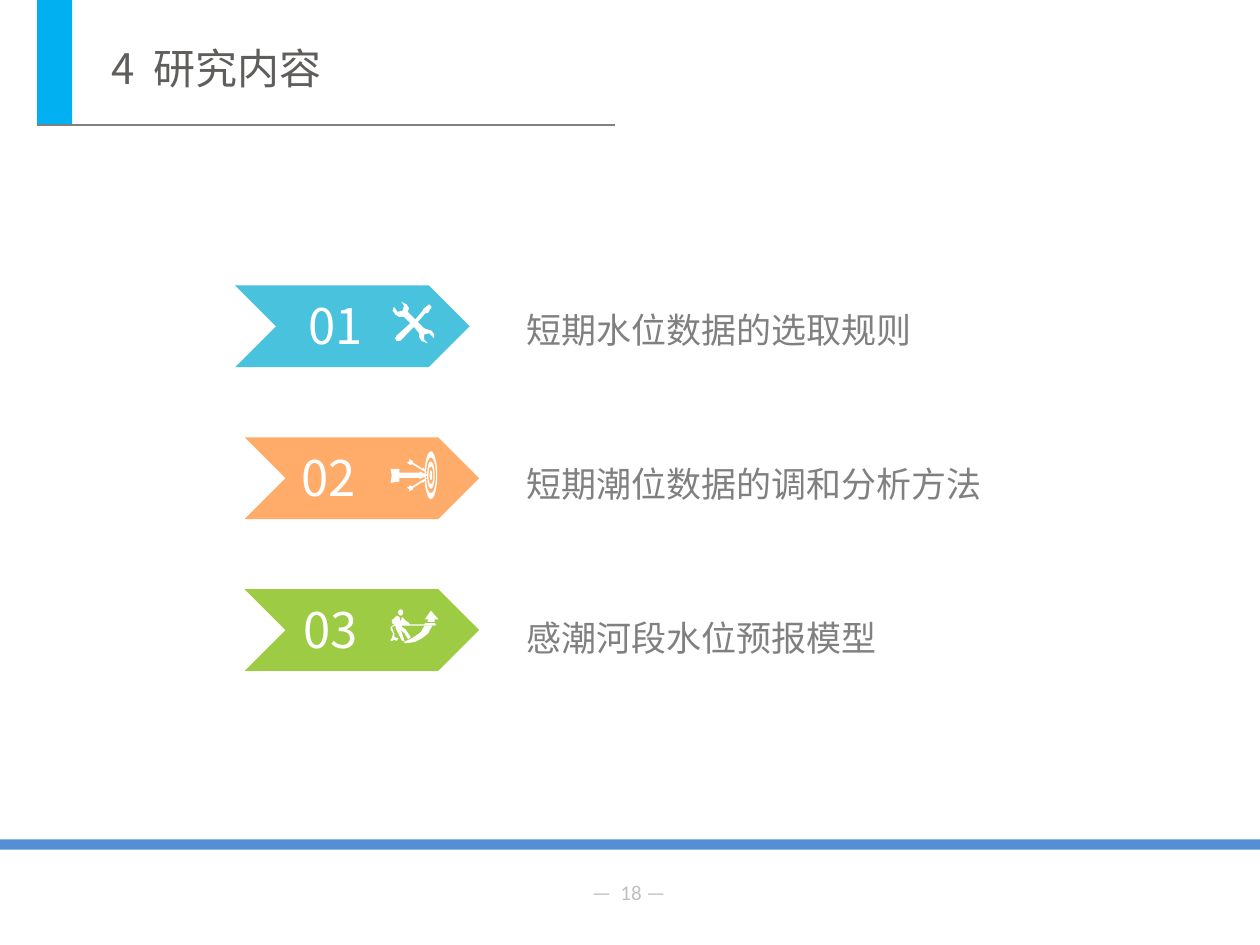
from lxml import etree
from pptx import Presentation
from pptx.dml.color import RGBColor
from pptx.enum.shapes import MSO_CONNECTOR, MSO_SHAPE
from pptx.enum.text import MSO_ANCHOR, MSO_AUTO_SIZE, PP_ALIGN
from pptx.oxml.ns import qn
from pptx.util import Pt

RECT, OVAL, CHEVRON = MSO_SHAPE.RECTANGLE, MSO_SHAPE.OVAL, MSO_SHAPE.CHEVRON
STRAIGHT = MSO_CONNECTOR.STRAIGHT
TOP, LEFT, NO_FIT = MSO_ANCHOR.TOP, PP_ALIGN.LEFT, MSO_AUTO_SIZE.NONE

WHITE = RGBColor(0xFF, 0xFF, 0xFF)
SKY = RGBColor(0x00, 0xB0, 0xF0)
BLUE = RGBColor(0x55, 0x8E, 0xD5)
TEAL = RGBColor(0x49, 0xC2, 0xDD)
ORANGE = RGBColor(0xFF, 0xAC, 0x6A)
GREEN = RGBColor(0x9D, 0xCB, 0x43)
GRAY = RGBColor(0x80, 0x80, 0x80)
DARK = RGBColor(0x5F, 0x5E, 0x5C)
PALE = RGBColor(0xBF, 0xBF, 0xBF)

CJK, LATIN = "Noto Sans CJK SC", "Calibri"
UNIT = 0.72

TOOLS = [(31, 23), (25, 21), (20, 16), (26, 9), (28, 9), (31, 4), (29, 2),
         (24, 6), (24, 7), (18, 14), (12, 8), (13, 5), (11, 2), (7, 0), (9, 3),
         (8, 7), (4, 8), (1, 4), (0, 7), (2, 10), (5, 12), (9, 12), (14, 17),
         (3, 27), (2, 29), (3, 31), (6, 31), (17, 20), (21, 25), (21, 28),
         (23, 31), (28, 33), (25, 30), (25, 26), (29, 25), (33, 29), (33, 26)]
MAIN_DART = [(7, 21), (23, 21), (23, 22), (30, 19), (23, 16), (23, 17),
             (7, 17), (7, 14), (0, 14), (1, 19), (0, 25), (7, 24)]
SIDE_DART = [(29, 17), (26, 13), (26, 14), (18, 9), (18, 8), (15, 6),
             (15, 8), (13, 9), (16, 11), (17, 10), (25, 15)]
SWOOSH = [(28, 13), (25, 18), (21, 21), (16, 24), (11, 26), (13, 27),
          (20, 26), (26, 23), (31, 19), (34, 13)]
ARROW_TIP = [(30, 10), (36, 10), (36, 8), (39, 8), (33, 1), (28, 8), (31, 8)]
BODY = [(36, 11), (28, 11), (28, 12), (16, 12), (16, 11), (13, 9), (10, 6),
        (9, 10), (8, 6), (6, 5), (3, 8), (2, 8), (2, 11), (4, 12), (1, 14),
        (1, 16), (3, 19), (2, 23), (1, 24), (1, 25), (3, 25), (3, 24), (6, 25),
        (7, 23), (4, 22), (4, 19), (3, 17), (2, 14), (5, 13), (5, 15),
        (10, 25), (12, 25), (9, 16), (12, 19), (15, 24), (17, 22), (13, 16),
        (10, 14), (10, 13), (36, 13), (37, 12)]


def paint(sp, color):
    """Give a shape a flat fill with no line or shadow."""
    sp.shadow.inherit = False
    sp.fill.solid()
    sp.fill.fore_color.rgb = color
    sp.line.fill.background()


def add_block(s, kind, x, y, w, h, color):
    """Add a flat preset shape."""
    paint(s.shapes.add_shape(kind, Pt(x), Pt(y), Pt(w), Pt(h)), color)


def add_outline(s, x, y, points):
    """Add a white polygon whose points are in icon units from x, y."""
    builder = s.shapes.build_freeform(*points[0], scale=Pt(UNIT))
    builder.add_line_segments(points[1:], close=True)
    paint(builder.convert_to_shape(Pt(x), Pt(y)), WHITE)


def add_oval(s, x, y, cx, cy, rx, ry, color):
    """Add an oval with its centre and radii in icon units from x, y."""
    add_block(s, OVAL, x + (cx - rx) * UNIT, y + (cy - ry) * UNIT,
              2 * rx * UNIT, 2 * ry * UNIT, color)


def write(sp, text, *, size, color, font=CJK, spacing=None, wrap=True):
    """Write one formatted line into a shape."""
    tf = sp.text_frame
    tf.word_wrap, tf.auto_size, tf.vertical_anchor = wrap, NO_FIT, TOP
    p = tf.paragraphs[0]
    p.alignment, p.line_spacing = LEFT, spacing
    r = p.add_run()
    r.text = text
    r.font.name, r.font.size, r.font.color.rgb = font, Pt(size), color
    etree.SubElement(r.font._element, qn("a:ea"), typeface=font)


def add_text(s, x, y, w, h, text, **fmt):
    """Add a text box with one formatted line."""
    write(s.shapes.add_textbox(Pt(x), Pt(y), Pt(w), Pt(h)), text, **fmt)


def draw_tools(s, x, y, back):
    """Draw the crossed tools icon."""
    add_outline(s, x, y, TOOLS)


def draw_target(s, x, y, back):
    """Draw the target icon with three darts."""
    rings = [(5, 19), (4, 14), (3, 11), (2, 7), (1, 4)]
    for i, (rx, ry) in enumerate(rings):
        add_oval(s, x, y, 32, 19, rx, ry, back if i % 2 else WHITE)
    mirrored = [(px, 38 - py) for px, py in SIDE_DART]
    for dart in (MAIN_DART, SIDE_DART, mirrored):
        add_outline(s, x, y, dart)


def draw_climber(s, x, y, back):
    """Draw the icon of a figure pulling an arrow."""
    for points in (SWOOSH, ARROW_TIP, BODY):
        add_outline(s, x, y, points)
    add_oval(s, x, y, 9, 2.5, 2, 2.5, WHITE)


def add_header(s, x, y, w, h, title):
    """Place the accent bar, rule and title in the header box."""
    add_block(s, RECT, x, y, 20, h, SKY)
    rule = s.shapes.add_connector(STRAIGHT, Pt(x), Pt(y + h), Pt(x + w), Pt(y + h))
    rule.line.color.rgb, rule.line.width = GRAY, Pt(0.75)
    etree.SubElement(rule._element.spPr, qn("a:effectLst"))
    sp = s.shapes.title
    sp.left, sp.top, sp.width, sp.height = Pt(x + 35.3), Pt(y + 20.9), Pt(294.5), Pt(36)
    write(sp, title, size=24, color=DARK)


def add_item(s, x, y, number, number_dx, color, draw_icon, icon_dx, icon_dy):
    """Place one chevron with its number and icon."""
    add_block(s, CHEVRON, x, y, 134, 46.7, color)
    draw_icon(s, x + icon_dx, y + icon_dy, color)
    add_text(s, x + number_dx, y + 2.5, 101, 41, number, size=28, color=WHITE)


def add_footer(s, y, w, number):
    """Place the footer band and page number."""
    add_block(s, RECT, 0, y, w, 5.8, BLUE)
    add_text(s, 331.2, y + 19.2, 62, 21.6, number, size=12, color=PALE,
             font=LATIN, wrap=False)


def main():
    """Build the slide."""
    prs = Presentation()
    prs.slide_width, prs.slide_height = Pt(720), Pt(540)
    s = prs.slides.add_slide(prs.slide_layouts[5])
    add_header(s, 21.3, 0, 330, 71.5, "4  研究内容")
    items = [
        (134.4, "01", 34.6, TEAL, draw_tools, 90, 9.4, "短期水位数据的选取规则"),
        (139.8, "02", 25.2, ORANGE, draw_target, 83.4, 8, "短期潮位数据的调和分析方法"),
        (139.8, "03", 26.6, GREEN, draw_climber, 82.7, 11.5, "感潮河段水位预报模型"),
    ]
    for i, (x, *parts, label) in enumerate(items):
        add_item(s, x, 163.1 + 86.8 * i, *parts)
        add_text(s, 293.5, 165.6 + 88 * i, 378, 39, label, size=20, color=GRAY,
                 spacing=1.3)
    add_footer(s, 479.7, 720, "—  18 —")
    prs.save("out.pptx")


if __name__ == "__main__":
    main()
